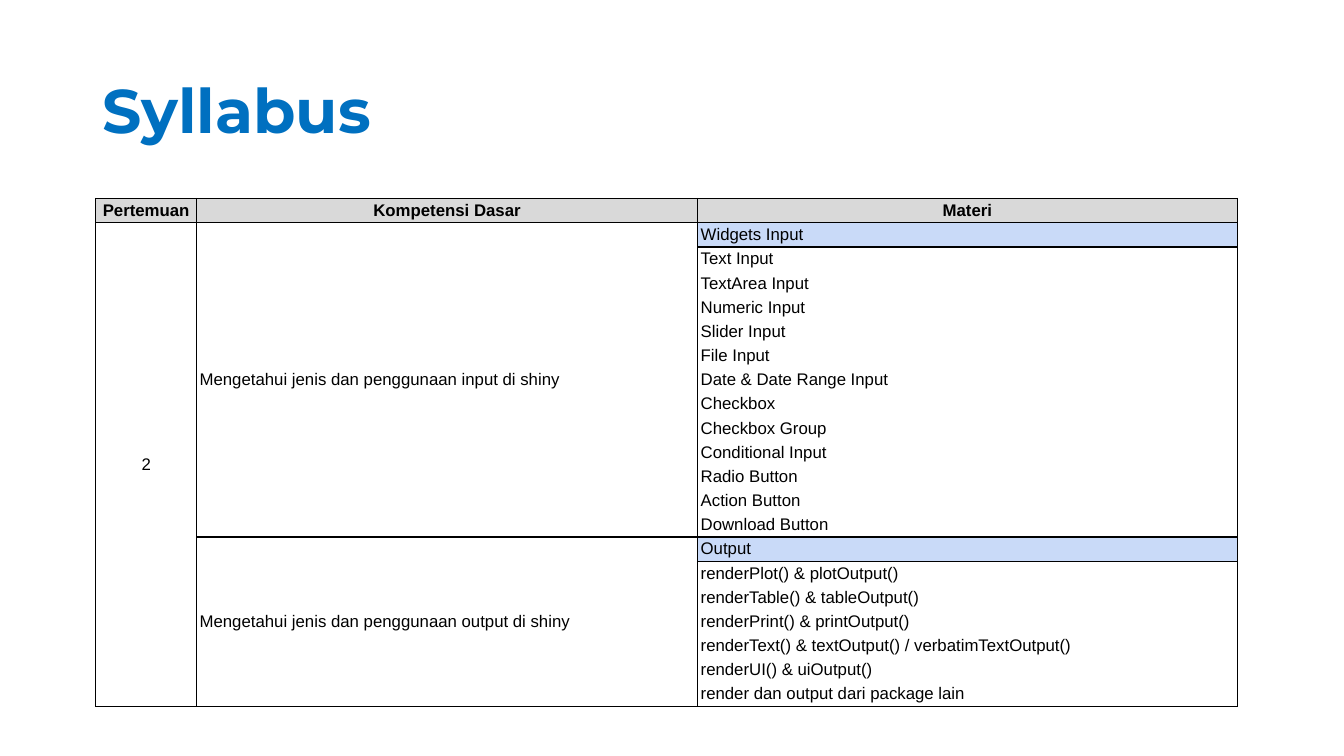
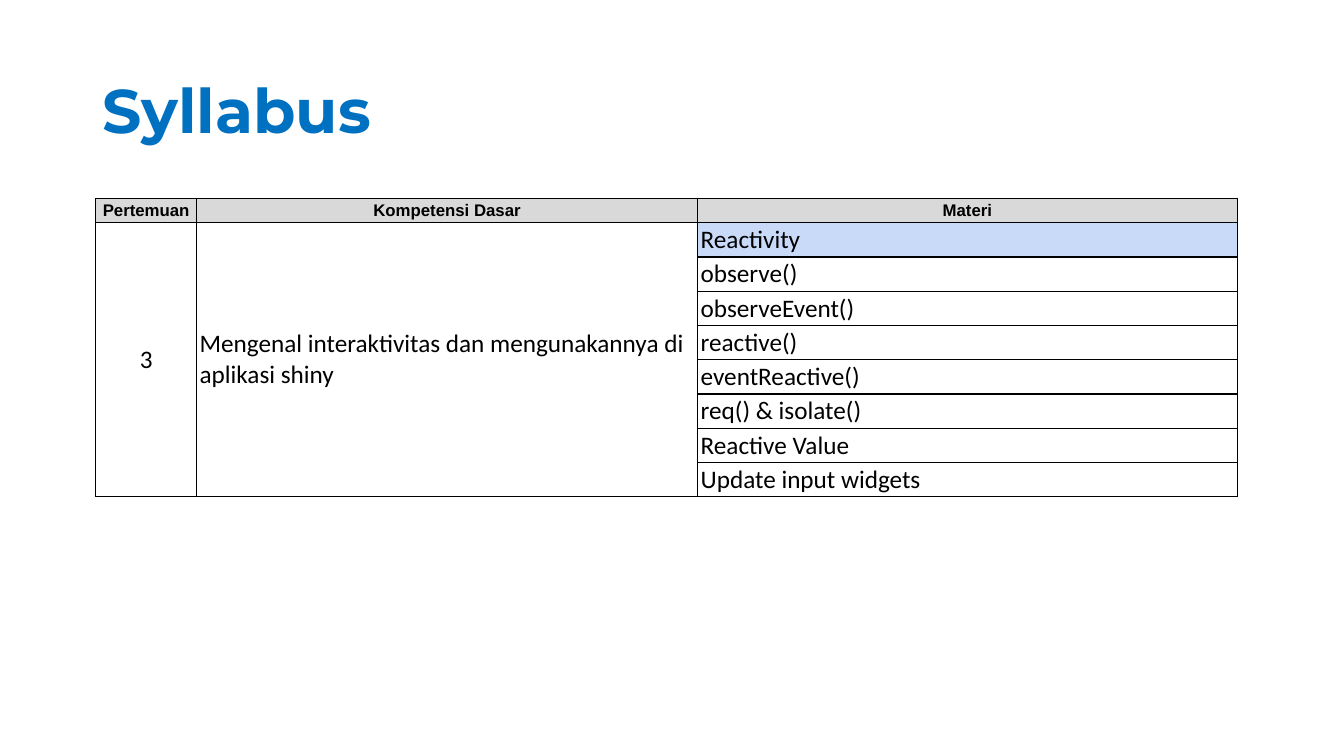
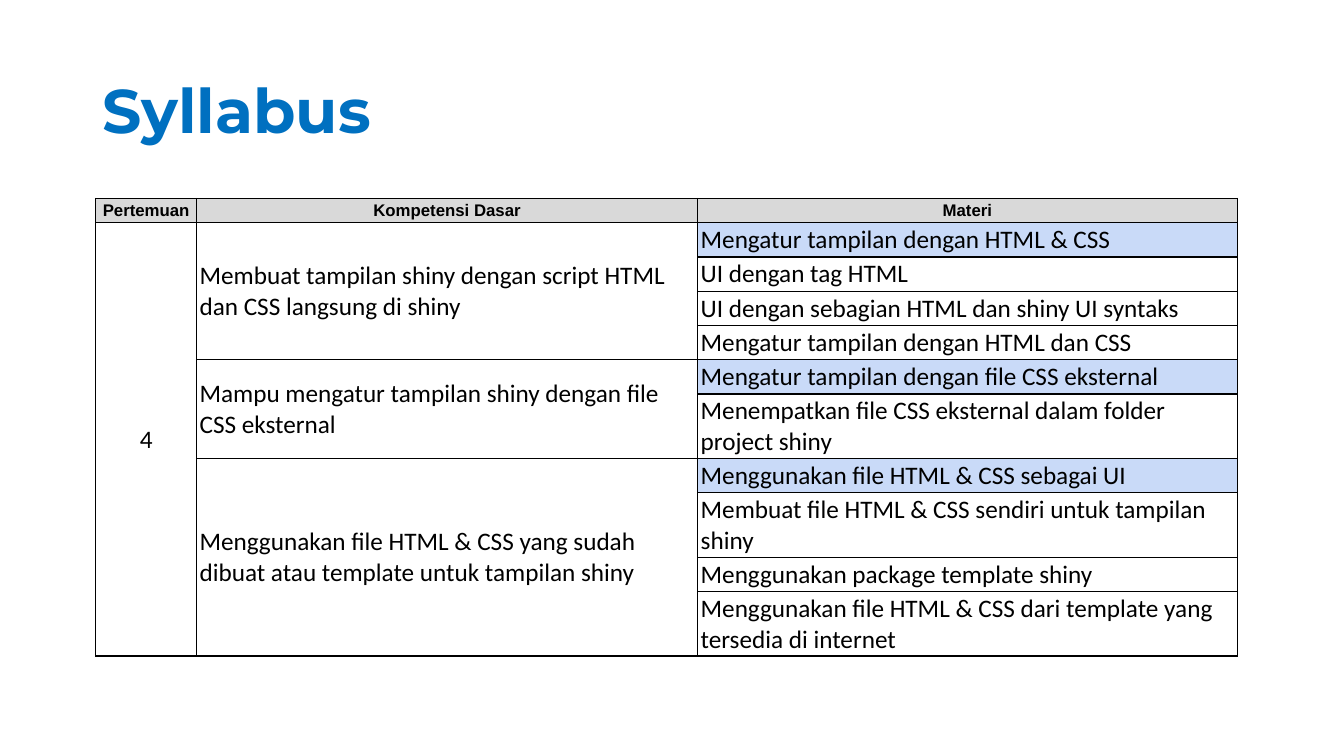
"""Build three syllabus slides, each with a title and a table of topics."""
from pptx import Presentation
from pptx.dml.color import RGBColor
from pptx.enum.text import MSO_ANCHOR as Anchor, PP_ALIGN as Align
from pptx.oxml.ns import qn
from pptx.util import Inches, Pt
from lxml.etree import SubElement

BLUE, BLACK, GREY, PALE = "0070C0", "000000", "D9D9D9", "C9DAF8"
HEADS = ["Pertemuan", "Kompetensi Dasar", "Materi"]
WIDTHS = [1, 4.97, 5.35]
ROW = 0.22

PLANS = [
    ("2", "Arial", 12, False, [
        ("Mengetahui jenis dan penggunaan input di shiny", [
            "Widgets Input", "Text Input", "TextArea Input", "Numeric Input",
            "Slider Input", "File Input", "Date & Date Range Input",
            "Checkbox", "Checkbox Group", "Conditional Input",
            "Radio Button", "Action Button", "Download Button"]),
        ("Mengetahui jenis dan penggunaan output di shiny", [
            "Output", "renderPlot() & plotOutput()",
            "renderTable() & tableOutput()", "renderPrint() & printOutput()",
            "renderText() & textOutput() / verbatimTextOutput()",
            "renderUI() & uiOutput()", "render dan output dari package lain"]),
    ]),
    ("3", "Calibri", 18, True, [
        ("Mengenal interaktivitas dan mengunakannya di aplikasi shiny", [
            "Reactivity", "observe()", "observeEvent()", "reactive()",
            "eventReactive()", "req() & isolate()", "Reactive Value",
            "Update input widgets"]),
    ]),
    ("4", "Calibri", 18, True, [
        ("Membuat tampilan shiny dengan script HTML dan CSS langsung di shiny", [
            "Mengatur tampilan dengan HTML & CSS", "UI dengan tag HTML",
            "UI dengan sebagian HTML dan shiny UI syntaks",
            "Mengatur tampilan dengan HTML dan CSS"]),
        ("Mampu mengatur tampilan shiny dengan file CSS eksternal", [
            "Mengatur tampilan dengan file CSS eksternal",
            "Menempatkan file CSS eksternal dalam folder project shiny"]),
        ("Menggunakan file HTML & CSS yang sudah dibuat atau template untuk tampilan shiny", [
            "Menggunakan file HTML & CSS sebagai UI",
            "Membuat file HTML & CSS sendiri untuk tampilan shiny",
            "Menggunakan package template shiny",
            "Menggunakan file HTML & CSS dari template yang tersedia di internet"]),
    ]),
]


def style(para, text, face, size, color=BLACK, bold=False, align=Align.LEFT):
    para.text = text
    para.alignment = align
    font = para.font
    font.name, font.size, font.bold = face, Pt(size), bold
    font.color.rgb = RGBColor.from_string(color)


def frame(cell, fill=None, sides="LRTB"):
    cell.margin_left = cell.margin_right = Inches(0.03)
    cell.margin_top = cell.margin_bottom = Inches(0.02)
    cell.vertical_anchor = Anchor.MIDDLE
    props = cell._tc.get_or_add_tcPr()
    for side in "LRTB":
        line = SubElement(props, qn(f"a:ln{side}"), w=str(Pt(1)))
        if side in sides:
            paint = SubElement(line, qn("a:solidFill"))
            SubElement(paint, qn("a:srgbClr"), val=BLACK)
        else:
            SubElement(line, qn("a:noFill"))
    if fill:
        cell.fill.solid()
        cell.fill.fore_color.rgb = RGBColor.from_string(fill)
    else:
        cell.fill.background()


deck = Presentation()
deck.slide_width, deck.slide_height = Inches(13.33), Inches(7.5)

for number, face, size, ruled, groups in PLANS:
    slide = deck.slides.add_slide(deck.slide_layouts[6])
    title = slide.shapes.add_textbox(
        Inches(0.92), Inches(0.4), Inches(11.5), Inches(1.45)).text_frame
    title.word_wrap = True
    title.vertical_anchor = Anchor.MIDDLE
    style(title.paragraphs[0], "Syllabus", "Montserrat", 44, BLUE, True)
    title.paragraphs[0].line_spacing = 0.9

    count = 1 + sum(len(topics) for goal, topics in groups)
    table = slide.shapes.add_table(
        count, len(HEADS), Inches(0.95), Inches(1.97),
        Inches(sum(WIDTHS)), Inches(ROW * count)).table
    table.first_row = table.horz_banding = False
    for row in table.rows:
        row.height = Inches(ROW)
    for col, (head, width) in enumerate(zip(HEADS, WIDTHS)):
        table.columns[col].width = Inches(width)
        cell = table.cell(0, col)
        frame(cell, GREY)
        style(cell.text_frame.paragraphs[0], head, "Arial", 12,
              bold=True, align=Align.CENTER)

    for row in range(1, count):
        for col in range(2):
            cell = table.cell(row, col)
            frame(cell)
            style(cell.text_frame.paragraphs[0], "", face, size)
    meet = table.cell(1, 0)
    style(meet.text_frame.paragraphs[0], number, face, size, align=Align.CENTER)
    meet.merge(table.cell(count - 1, 0))

    top = 1
    for goal, topics in groups:
        last = len(topics) - 1
        aim = table.cell(top, 1)
        style(aim.text_frame.paragraphs[0], goal, face, size)
        aim.merge(table.cell(top + last, 1))
        for step, topic in enumerate(topics):
            cell = table.cell(top + step, 2)
            sides = "LR"
            if ruled or step < 2:
                sides += "T"
            if ruled or step in (0, last):
                sides += "B"
            frame(cell, None if step else PALE, sides)
            style(cell.text_frame.paragraphs[0], topic, face, size)
        top += len(topics)

deck.save("out.pptx")
